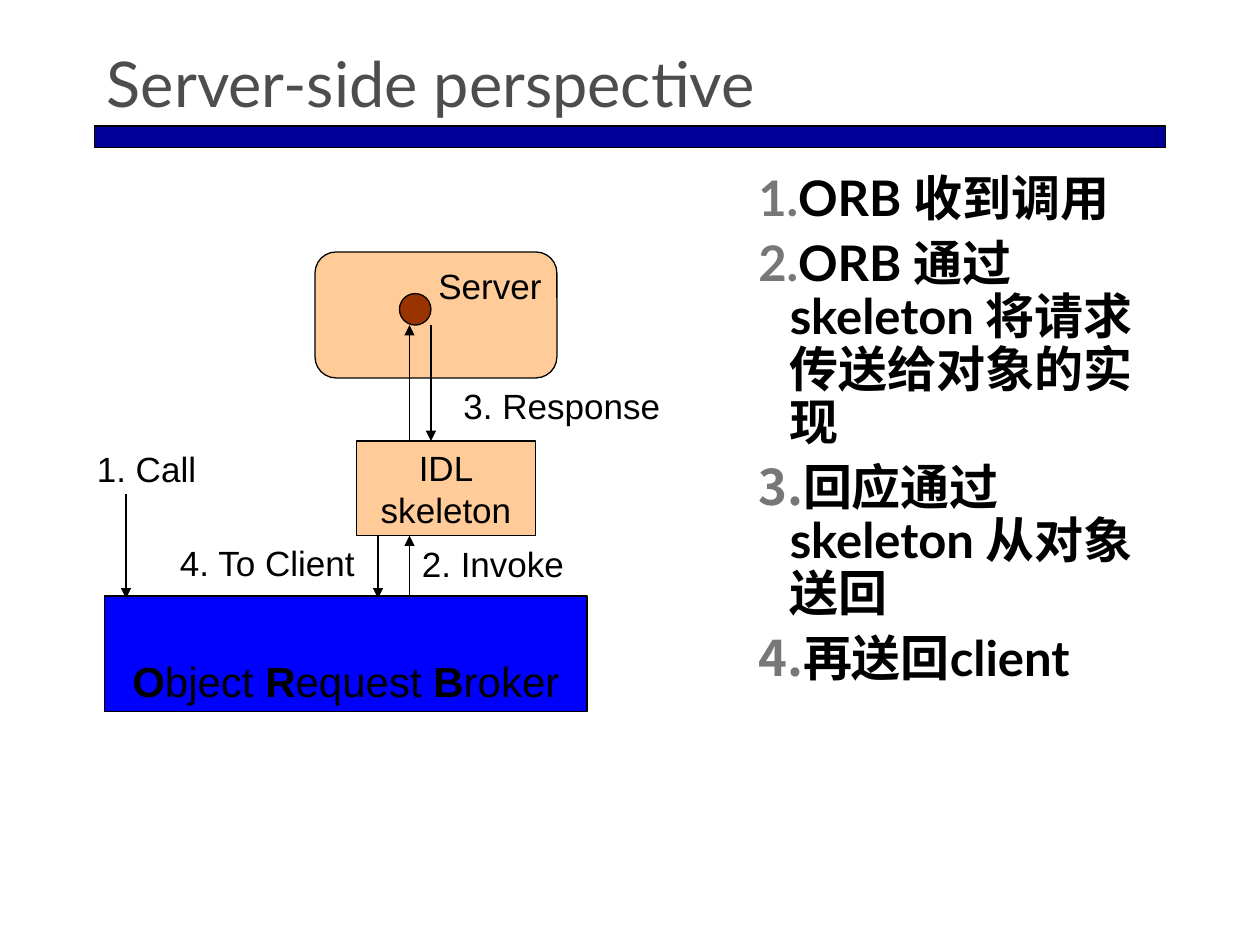
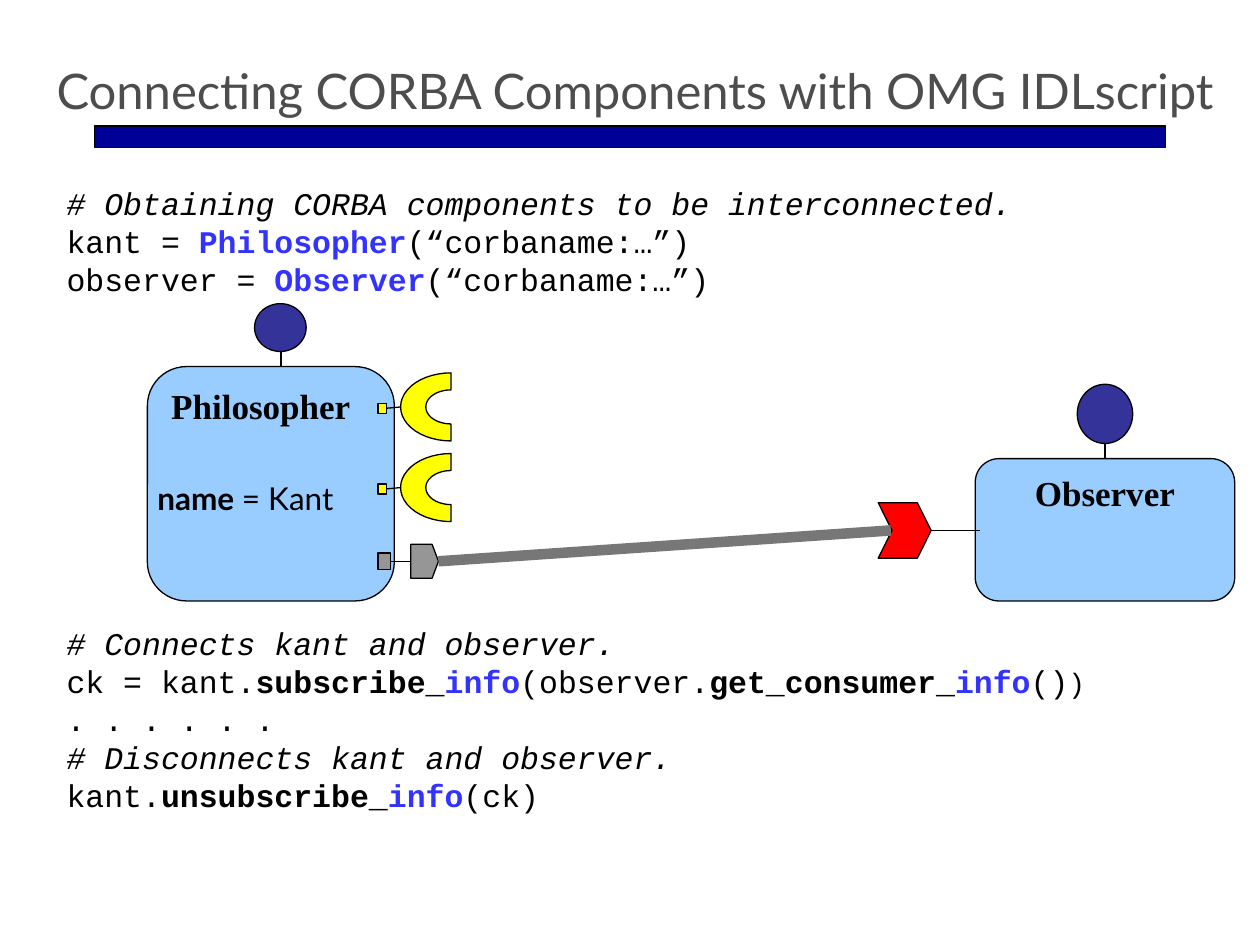
from dataclasses import dataclass
from math import cos, pi, sin

from lxml.etree import SubElement
from pptx import Presentation
from pptx.dml.color import RGBColor
from pptx.enum.shapes import MSO_CONNECTOR, MSO_SHAPE as SHAPE
from pptx.enum.text import MSO_ANCHOR as ANCHOR, PP_ALIGN as ALIGN
from pptx.oxml.ns import qn
from pptx.util import Inches, Pt

COLORS = {
    "band": "000099", "title": "4D4D4D", "ink": "000000", "number": "777777",
    "peach": "FFCC99", "broker": "0000FF", "object": "993300",
    "component": "99CCFF", "facet": "333399", "receptacle": "FFFF00",
    "source": "969696", "sink": "FF0000", "cable": "777777", "keyword": "3333FF",
}
BOLD = {"bold": True}
ITALIC = {"italic": True}
KEYWORD = {"bold": True, "color": "keyword"}


@dataclass
class Box:
    left: float
    top: float
    width: float
    height: float

    def inner(self, left, top, width, height):
        return Box(self.left + left, self.top + top, width, height)

    def point(self, x, y):
        return self.left + x, self.top + y

    def inches(self):
        return [Inches(n) for n in (self.left, self.top, self.width, self.height)]


def rgb(name):
    return RGBColor.from_string(COLORS[name])


def add_number(para):
    props = para._p.get_or_add_pPr()
    props.set("marL", str(Inches(0.25)))
    props.set("indent", str(-Inches(0.25)))
    color = SubElement(props, qn("a:buClr"))
    SubElement(color, qn("a:srgbClr"), val=COLORS["number"])
    SubElement(props, qn("a:buFont"), typeface="+mj-lt")
    SubElement(props, qn("a:buAutoNum"), type="arabicPeriod")


def write(shape, lines, font="Arial", size=20, color="ink", bold=False, align=ALIGN.LEFT,
          anchor=ANCHOR.TOP, wrap=False, numbered=False, spacing=None, before=0):
    frame = shape.text_frame
    frame.word_wrap = wrap
    frame.vertical_anchor = anchor
    for index, line in enumerate(lines):
        para = frame.add_paragraph() if index else frame.paragraphs[0]
        if numbered:
            add_number(para)
        para.alignment = align
        if spacing:
            para.line_spacing = spacing
        if index and before:
            para.space_before = Pt(before)
        for text, style in [(line, {})] if isinstance(line, str) else line:
            span = para.add_run()
            span.text = text
            span.font.name = font
            span.font.size = Pt(style.get("size", size))
            span.font.bold = style.get("bold", bold)
            span.font.italic = style.get("italic", False)
            span.font.color.rgb = rgb(style.get("color", color))


def add_text(page, box, lines, **style):
    write(page.shapes.add_textbox(*box.inches()), lines, **style)


def paint(shape, fill):
    shape.shadow.inherit = False
    shape.fill.solid()
    shape.fill.fore_color.rgb = rgb(fill)
    shape.line.color.rgb = rgb("ink")
    shape.line.width = Pt(0.75)
    return shape


def add_block(page, kind, box, fill, adjust=None):
    shape = paint(page.shapes.add_shape(kind, *box.inches()), fill)
    if adjust is not None:
        shape.adjustments[0] = adjust
    return shape


def add_link(page, start, end, color="ink", width=0.75, arrow=False, begin=None, finish=None):
    link = page.shapes.add_connector(
        MSO_CONNECTOR.STRAIGHT, *[Inches(n) for n in (*start, *end)])
    link.line.color.rgb = rgb(color)
    link.line.width = Pt(width)
    if arrow:
        SubElement(link.line._get_or_add_ln(), qn("a:tailEnd"), type="triangle")
    SubElement(link._element.spPr, qn("a:effectLst"))
    if begin:
        link.begin_connect(*begin)
    if finish:
        link.end_connect(*finish)


def add_crescent(page, box, fill):
    def arc(scale, angles):
        return [(Inches(box.left + box.width * (1 + scale * cos(a))),
                 Inches(box.top + box.height / 2 * (1 + scale * sin(a)))) for a in angles]

    angles = [pi / 2 + pi * step / 24 for step in range(25)]
    points = arc(1, angles) + arc(0.5, reversed(angles))
    builder = page.shapes.build_freeform(*points[0])
    builder.add_line_segments(points[1:], close=True)
    paint(builder.convert_to_shape(), fill)


def add_page(deck, title, box, size):
    page = deck.slides.add_slide(deck.slide_layouts[6])
    add_block(page, SHAPE.RECTANGLE, Box(0.75, 1, 8.5, 0.17), "band")
    add_text(page, box, [title], font="Lato", size=size, color="title",
             anchor=ANCHOR.BOTTOM, wrap=True)
    return page


def draw_server_side(page, box):
    add_block(page, SHAPE.ROUNDED_RECTANGLE, box.inner(2, 0, 1.92, 1), "peach", 0.167)
    skeleton = add_block(page, SHAPE.RECTANGLE, box.inner(2.33, 1.5, 1.42, 0.75), "peach")
    write(skeleton, ["IDL", "skeleton"], align=ALIGN.CENTER, anchor=ANCHOR.MIDDLE)
    broker = add_block(page, SHAPE.RECTANGLE, box.inner(0.33, 2.73, 3.83, 0.92), "broker")
    write(broker, [[("O", BOLD), ("bject ", {}), ("R", BOLD), ("equest ", {}),
                    ("B", BOLD), ("roker", {})]],
          size=24, align=ALIGN.CENTER, anchor=ANCHOR.BOTTOM)
    add_block(page, SHAPE.OVAL, box.inner(2.67, 0.33, 0.25, 0.25), "object")

    for x, start, end in [(0.5, 1.92, 2.75), (2.75, 2.75, 2.25), (2.75, 1.5, 0.58),
                          (2.92, 0.58, 1.5), (2.5, 2.25, 2.75)]:
        add_link(page, box.point(x, start), box.point(x, end), arrow=True)

    for label, x, y, width in [("1. Call", 0.17, 1.5, 0.99), ("2. Invoke", 2.75, 2.26, 1.33),
                               ("3. Response", 3.08, 1, 1.76),
                               ("4. To Client", 0.83, 2.25, 1.62),
                               ("Server", 2.88, 0.05, 1.02)]:
        add_text(page, box.inner(x, y, width, 0.44), [label])


def write_steps(page, box):
    add_text(page, box, ["ORB 收到调用", "ORB 通过skeleton 将请求传送给对象的实现",
                         "回应通过skeleton 从对象送回", "再送回client"],
             font="Lato", size=28, bold=True, wrap=True, numbered=True,
             spacing=0.9, before=7)


def write_code(page, box, lines):
    add_text(page, box, lines, font="Courier New", size=18, wrap=True,
             spacing=0.8, before=4.5)


def draw_component(page, box, name, facet, stem_x, align, centred_stem=False):
    body = add_block(page, SHAPE.ROUNDED_RECTANGLE, box, "component", 0.167)
    write(body, [name], font="Times New Roman", bold=True, align=align)
    ball = box.inner(*facet)
    add_link(page, box.point(stem_x, 0), (box.left + stem_x, ball.top + ball.height),
             begin=(body, 0) if centred_stem else None)
    add_block(page, SHAPE.OVAL, ball, "facet")


def draw_observer(page, box):
    draw_component(page, box, "Observer", (0.81, -0.59, 0.44, 0.47), 1.03,
                   ALIGN.CENTER, centred_stem=True)
    sink = add_block(page, SHAPE.CHEVRON, box.inner(-0.77, 0.35, 0.42, 0.44), "sink", 0.26)
    add_link(page, box.point(-0.35, 0.57), box.point(0.04, 0.57), begin=(sink, 3))


def draw_philosopher(page, box):
    draw_component(page, box, "Philosopher", (0.85, -0.5, 0.41, 0.38), 1.06, ALIGN.LEFT)
    for y in (0.29, 0.93):
        port = add_block(page, SHAPE.RECTANGLE, box.inner(1.83, y, 0.07, 0.08), "receptacle")
        add_link(page, box.point(1.9, y + 0.04), box.point(2.01, y + 0.03), begin=(port, 3))
        add_crescent(page, box.inner(2.01, y - 0.24, 0.4, 0.54), "receptacle")
    port = add_block(page, SHAPE.RECTANGLE, box.inner(1.83, 1.48, 0.1, 0.13), "source")
    source = add_block(page, SHAPE.PENTAGON, box.inner(2.09, 1.41, 0.22, 0.27), "source", 0.23)
    add_link(page, box.point(1.93, 1.55), box.point(2.09, 1.55),
             begin=(port, 3), finish=(source, 1))
    add_text(page, box.inner(-0.02, 0.84, 1.72, 0.4), [[("name ", BOLD), ("= Kant", {})]],
             font="Lato", size=18)
    return source


def build_server_slide(deck):
    page = add_page(deck, "Server-side perspective", Box(0.75, 0.33, 8.5, 0.67), 36)
    write_steps(page, Box(5.92, 1.33, 3.33, 5.33))
    draw_server_side(page, Box(0.5, 2, 4.84, 3.65))


def build_script_slide(deck):
    page = add_page(deck, "Connecting CORBA Components with OMG IDLscript",
                    Box(0.35, 0.33, 9.45, 0.67), 28)
    write_code(page, Box(0.43, 1.47, 8.9, 1), [
        [("# Obtaining CORBA components to be interconnected.", ITALIC)],
        [("kant = ", {}), ("Philosopher", KEYWORD), ("(“corbaname:…”)", {})],
        [("observer = ", {}), ("Observer", KEYWORD), ("(“corbaname:…”)", {})],
    ])
    write_code(page, Box(0.43, 4.96, 8.9, 1.7), [
        [("# Connects kant and observer.", ITALIC)],
        [("ck = kant.", {}), ("subscribe_", BOLD), ("info", KEYWORD), ("(observer.", {}),
         ("get_consumer_", BOLD), ("info", KEYWORD), ("()", {}), (")", {"size": 16})],
        ". . . . . .",
        [("# Disconnects kant and observer.", ITALIC)],
        [("kant.", {}), ("unsubscribe_", BOLD), ("info", KEYWORD), ("(ck)", {})],
    ])
    draw_observer(page, Box(7.74, 3.64, 2.06, 1.13))
    source = draw_philosopher(page, Box(1.17, 2.91, 1.96, 1.86))
    add_link(page, (3.48, 4.46), (7.07, 4.21), color="cable", width=6, begin=(source, 3))


def main():
    deck = Presentation()
    deck.slide_width, deck.slide_height = Inches(10), Inches(7.5)
    build_server_slide(deck)
    build_script_slide(deck)
    deck.save("out.pptx")


if __name__ == "__main__":
    main()
